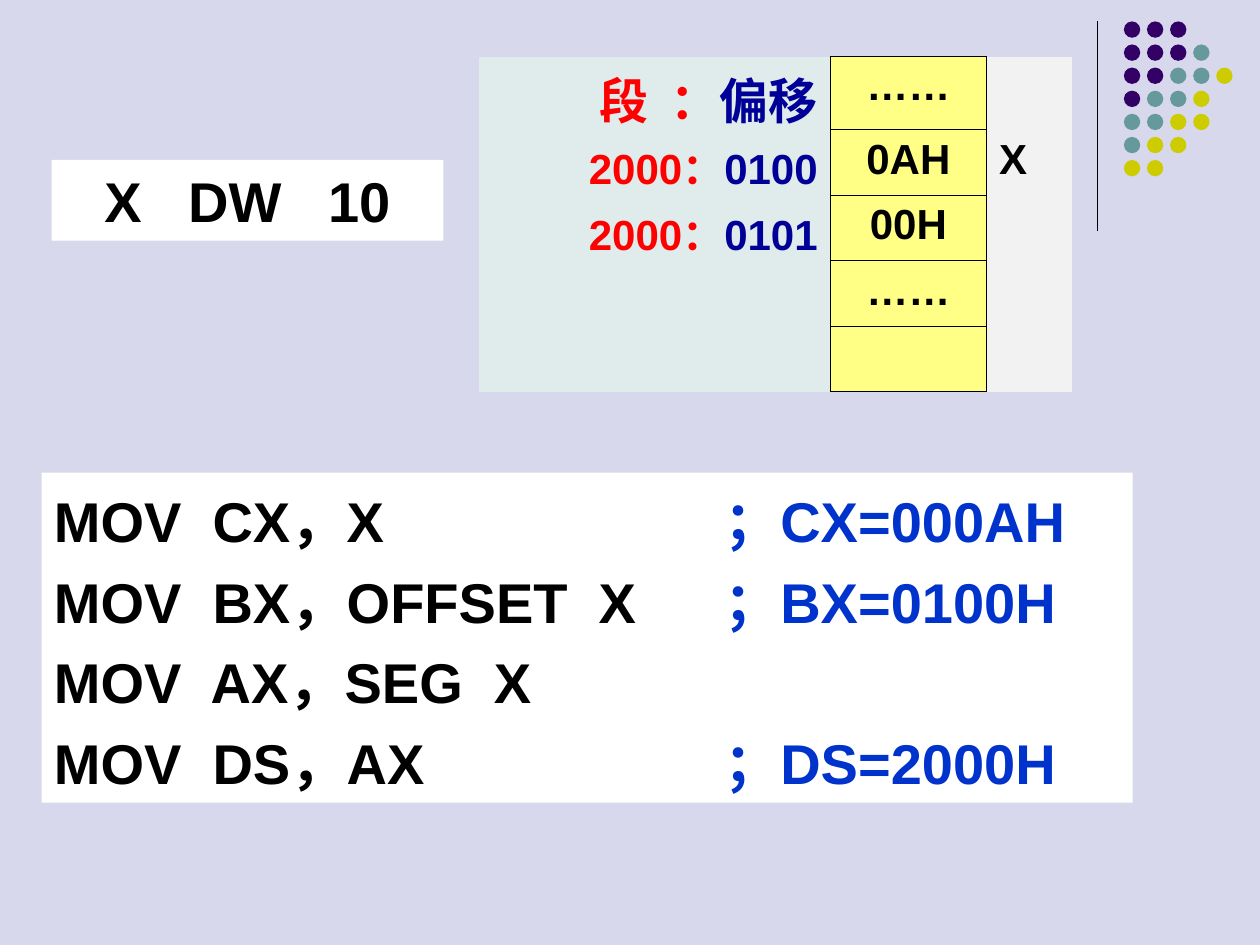
from lxml import etree
from pptx import Presentation
from pptx import util as u
from pptx.dml.color import RGBColor
from pptx.enum import shapes, text
from pptx.oxml.ns import qn

BLACK = RGBColor(0x00, 0x00, 0x00)
WHITE = RGBColor(0xFF, 0xFF, 0xFF)
LAVENDER = RGBColor(0xD8, 0xD8, 0xEC)
PURPLE = RGBColor(0x33, 0x00, 0x66)
TEAL = RGBColor(0x66, 0x99, 0x99)
OLIVE = RGBColor(0xCC, 0xCC, 0x00)
RED = RGBColor(0xFF, 0x00, 0x00)
NAVY = RGBColor(0x00, 0x00, 0x99)
BLUE = RGBColor(0x00, 0x33, 0xCC)
MINT = RGBColor(0xE0, 0xEB, 0xEB)
YELLOW = RGBColor(0xFF, 0xFF, 0x85)
GREY = RGBColor(0xF2, 0xF2, 0xF2)

FONT = "Arial"
NO_TABLE_STYLE = "{2D5ABB26-0587-4C30-8999-92F81FD0307C}"
DOT_ROWS = ["PPP", "PPPT", "PPTTO", "PTTO", "TTOO", "TOO", "OO"]
DOT_COLOURS = {"P": PURPLE, "T": TEAL, "O": OLIVE}
CODE_LINES = [
    ("MOV  CX，X", "；CX=000AH"),
    ("MOV  BX，OFFSET  X", "；BX=0100H"),
    ("MOV  AX，SEG  X", None),
    ("MOV  DS，AX", "；DS=2000H"),
]
MEMORY_ROWS = [
    ("段  ：", "偏移", "……", ""),
    ("2000：", "0100", "0AH", "X"),
    ("2000：", "0101", "00H", ""),
    ("", "", "……", ""),
    ("", "", "", ""),
]


def add_run(paragraph, words, size, colour):
    """Add one bold run to a paragraph."""
    run = paragraph.add_run()
    run.text = words
    run.font.name = FONT
    run.font.size = u.Pt(size)
    run.font.bold = True
    run.font.color.rgb = colour


def add_panel(slide, left, top, width, height):
    """Add a white text panel and return its text frame."""
    shape = slide.shapes.add_textbox(left, top, width, height)
    shape.fill.solid()
    shape.fill.fore_color.rgb = WHITE
    frame = shape.text_frame
    frame.word_wrap = True
    frame.auto_size = text.MSO_AUTO_SIZE.SHAPE_TO_FIT_TEXT
    return frame


def add_tab_stop(paragraph, position):
    """Add a left tab stop to a paragraph."""
    stops = etree.SubElement(paragraph._p.get_or_add_pPr(), qn("a:tabLst"))
    etree.SubElement(stops, qn("a:tab"), pos=str(position), algn="l")


def add_corner_ornament(slide, left, top, height):
    """Draw the vertical rule and the triangle of dots beside it."""
    rule = slide.shapes.add_connector(
        shapes.MSO_CONNECTOR.STRAIGHT, left, top, left, top + height)
    rule.line.color.rgb = BLACK
    rule.line.width = u.Pt(0.75)
    etree.SubElement(rule._element.spPr, qn("a:effectLst"))
    pitch = u.Inches(0.55) // 3
    size = u.Inches(0.13)
    dots = slide.shapes.add_group_shape().shapes
    for row, letters in enumerate(DOT_ROWS):
        for column, letter in enumerate(letters):
            dot = dots.add_shape(
                shapes.MSO_SHAPE.OVAL, left + u.Inches(0.21) + column * pitch,
                top + row * pitch, size, size)
            dot.shadow.inherit = False
            dot.fill.solid()
            dot.fill.fore_color.rgb = DOT_COLOURS[letter]
            dot.line.fill.background()


def add_code_panel(slide, left, top, width, height):
    """Write the instructions with their comments at a tab stop."""
    frame = add_panel(slide, left, top, width, height)
    for index, (code, comment) in enumerate(CODE_LINES):
        paragraph = frame.add_paragraph() if index else frame.paragraphs[0]
        paragraph.line_spacing = u.Pt(43)
        paragraph.space_after = u.Pt(3)
        add_tab_stop(paragraph, u.Inches(5.32))
        add_run(paragraph, code, 32, BLACK)
        if comment:
            add_run(paragraph, "\t", 32, BLACK)
            add_run(paragraph, comment, 32, BLUE)


def style_cell(cell, fill, sides):
    """Give a cell thin black borders on the named sides and a fill."""
    properties = cell._tc.get_or_add_tcPr()
    for side in sides:
        line = etree.SubElement(
            properties, qn(f"a:ln{side}"), w=str(u.Pt(0.45)))
        paint = etree.SubElement(line, qn("a:solidFill"))
        etree.SubElement(paint, qn("a:srgbClr"), val=str(BLACK))
    cell.fill.solid()
    cell.fill.fore_color.rgb = fill


def add_memory_table(slide, left, top, width, height):
    """Draw the memory map: address, content and variable name."""
    table = slide.shapes.add_table(
        len(MEMORY_ROWS), 3, left, top, width, height).table
    table.first_row = table.horz_banding = False
    table._tbl.tblPr.find(qn("a:tableStyleId")).text = NO_TABLE_STYLE
    content_width, name_width = u.Inches(1.24), u.Inches(0.68)
    widths = (width - content_width - name_width, content_width, name_width)
    for column, column_width in zip(table.columns, widths):
        column.width = column_width
    for row in table.rows:
        row.height = u.Inches(0.52)
    table.rows[0].height = height - 4 * u.Inches(0.52)

    looks = [
        (MINT, "R", text.PP_ALIGN.RIGHT),
        (YELLOW, "LRTB", text.PP_ALIGN.CENTER),
        (GREY, "L", text.PP_ALIGN.LEFT),
    ]
    for row, (segment, offset, content, name) in enumerate(MEMORY_ROWS):
        address_size = 24 if row else 28
        parts = [
            [(segment, address_size, RED), (offset, address_size, NAVY)],
            [(content, 24, BLACK)],
            [(name, 24, BLACK)],
        ]
        for column, (fill, sides, alignment) in enumerate(looks):
            cell = table.cell(row, column)
            style_cell(cell, fill, sides)
            paragraph = cell.text_frame.paragraphs[0]
            paragraph.alignment = alignment
            for words, size, colour in parts[column]:
                if words:
                    add_run(paragraph, words, size, colour)


def add_definition(slide, left, top, width, height):
    """Write the variable definition in its panel."""
    paragraph = add_panel(slide, left, top, width, height).paragraphs[0]
    paragraph.alignment = text.PP_ALIGN.CENTER
    add_run(paragraph, "X   DW   10", 32, BLACK)


def main():
    """Build and save the slide."""
    presentation = Presentation()
    presentation.slide_width = u.Inches(10)
    presentation.slide_height = u.Inches(7.5)
    slide = presentation.slides.add_slide(presentation.slide_layouts[6])
    slide.background.fill.solid()
    slide.background.fill.fore_color.rgb = LAVENDER
    add_corner_ornament(slide, u.Inches(8.71), u.Inches(0.17), u.Inches(1.66))
    add_code_panel(slide, u.Inches(0.33), u.Inches(3.75),
                   u.Inches(8.66), u.Inches(2.62))
    add_memory_table(slide, u.Inches(3.8), u.Inches(0.45),
                     u.Inches(4.71), u.Inches(2.66))
    add_definition(slide, u.Inches(0.41), u.Inches(1.27),
                   u.Inches(3.11), u.Inches(0.64))
    presentation.save("out.pptx")


if __name__ == "__main__":
    main()
